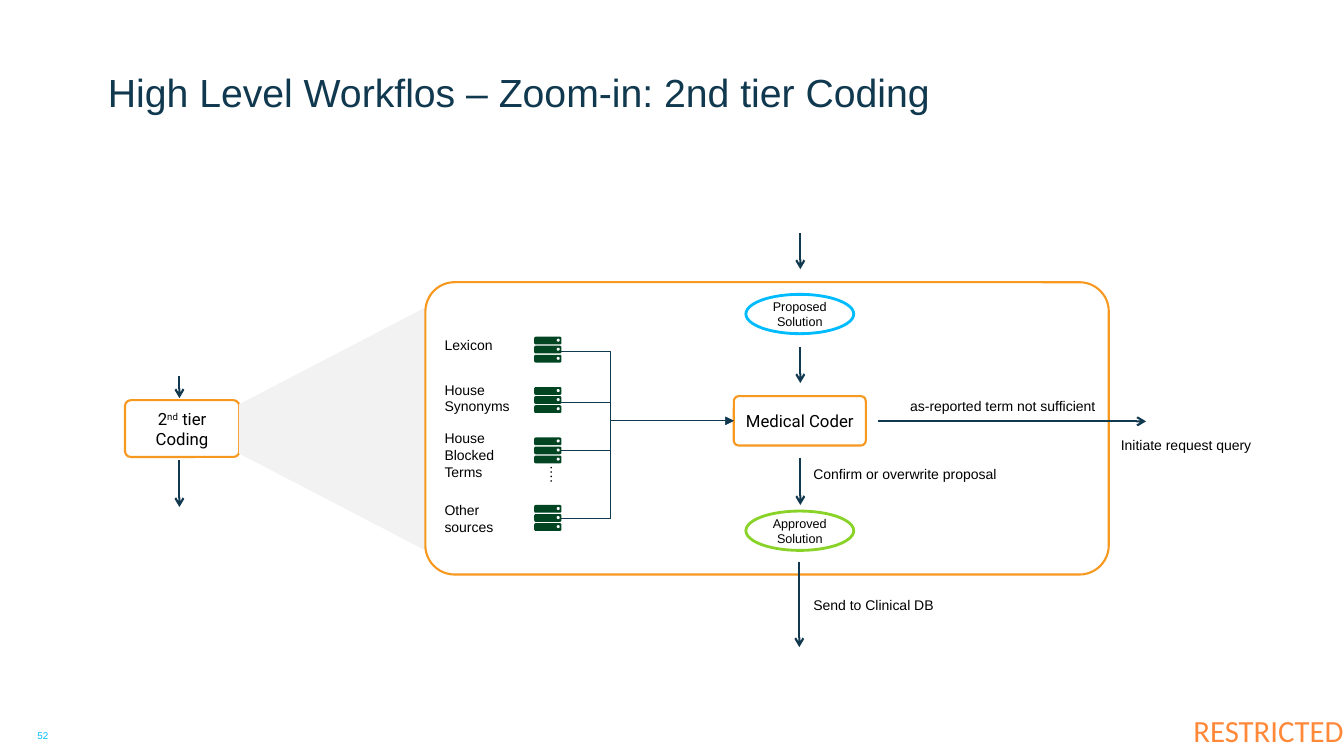
import pptx
import pptx.util
import pptx.dml.color
import pptx.enum.shapes
import pptx.enum.text
import pptx.oxml
import pptx.oxml.ns

SHAPE = pptx.enum.shapes.MSO_SHAPE
LINK = pptx.enum.shapes.MSO_CONNECTOR
ALIGN = pptx.enum.text.PP_ALIGN
ANCHOR = pptx.enum.text.MSO_ANCHOR

COLS, ROWS = 40, 22.5
HEX = {
    "navy": "10384F", "black": "000000", "white": "FFFFFF", "gray": "F2F2F2",
    "orange": "F7981F", "alert": "FF8939", "blue": "00BCFF",
    "lime": "89D329", "green": "004422",
}
SOURCES = [
    # label, label row, icon row
    ("Lexicon", 10.02, 10.02),
    ("House\nSynonyms", 11.34, 11.52),
    ("House\nBlocked\nTerms", 12.78, 13.02),
    ("Other\nsources", 14.94, 15.03),
]
ARROWS = [
    # tail column, tail row, head column, head row
    (5.34, 11.19, 5.34, 11.85),
    (5.34, 13.68, 5.34, 15.09),
    (23.82, 6.93, 23.82, 8.01),
    (23.82, 10.32, 23.82, 11.4),
    (23.82, 13.62, 23.82, 15.03),
    (23.79, 16.74, 23.79, 19.26),
    (26.13, 12.54, 34.11, 12.54),
]
LABELS = [
    ("Confirm or overwrite proposal", 24.21, 13.86),
    ("as-reported term not sufficient", 27.09, 11.82),
    ("Send to Clinical DB", 24.21, 17.76),
    ("Initiate request query", 33.36, 12.99),
]
CODER_ROW = 12.53


def cell(*counts):
    """Turn counts of grid cells (a third of an inch) into lengths."""
    return [pptx.util.Inches(count / 3) for count in counts]


def tint(name):
    return pptx.dml.color.RGBColor.from_string(HEX[name])


def style(para, size, font, color, align=None):
    para.font.size = pptx.util.Pt(size)
    para.font.name = font
    para.font.color.rgb = tint(color)
    para.alignment = align


def frame(shape, anchor, wrap, inset=0):
    """Prepare a text frame; inset is the side margin in cells."""
    body = shape.text_frame
    body.word_wrap = wrap
    body.auto_size = pptx.enum.text.MSO_AUTO_SIZE.NONE
    body.vertical_anchor = anchor
    body.margin_left, body.margin_right = cell(inset, inset)
    body.margin_top, body.margin_bottom = cell(inset / 2, inset / 2)
    return body


def label(slide, text, area, size=10, font="Arial", color="black",
          align=ALIGN.LEFT, anchor=ANCHOR.TOP, wrap=False):
    box = slide.shapes.add_textbox(*cell(*area))
    body = frame(box, anchor, wrap)
    body.text = text
    for para in body.paragraphs:
        style(para, size, font, color, align)
    return box


def form(slide, kind, area, fill=None, line=None, width=1.5, adjust=None):
    shape = slide.shapes.add_shape(kind, *cell(*area))
    shape.shadow.inherit = False
    if adjust is not None:
        shape.adjustments[0] = adjust
    if fill:
        shape.fill.solid()
        shape.fill.fore_color.rgb = tint(fill)
    else:
        shape.fill.background()
    if line:
        shape.line.color.rgb = tint(line)
        shape.line.width = pptx.util.Pt(width)
    else:
        shape.line.fill.background()
    return shape


def panel(slide, area):
    return form(slide, SHAPE.ROUNDED_RECTANGLE, area, line="orange", adjust=0.1)


def step(slide, area, *parts):
    """Draw a process box; every second part of its text is raised."""
    box = panel(slide, area)
    para = frame(box, ANCHOR.MIDDLE, True, 0.3).paragraphs[0]
    for place, text in enumerate(parts):
        run = para.add_run()
        run.text = text
        if place % 2:
            run._r.get_or_add_rPr().set("baseline", "30000")
    style(para, 12, "Roboto", "black", ALIGN.CENTER)
    return box


def result(slide, text, row, color):
    oval = form(slide, SHAPE.OVAL, (22.2, row, 3.21, 1.17), line=color, width=2)
    body = frame(oval, ANCHOR.MIDDLE, True)
    body.text = text
    style(body.paragraphs[0], 9, "Arial", "black", ALIGN.CENTER)


def link(slide, ends, width, head=None, kind=LINK.STRAIGHT):
    wire = slide.shapes.add_connector(kind, *cell(*ends))
    wire.line.color.rgb = tint("navy")
    wire.line.width = pptx.util.Pt(width)
    if head:
        tip = pptx.oxml.parse_xml(
            f'<a:tailEnd {pptx.oxml.ns.nsdecls("a")} type="{head}"/>')
        wire.line._get_or_add_ln().append(tip)
    wire._element.spPr.append(
        pptx.oxml.parse_xml(f'<a:effectLst {pptx.oxml.ns.nsdecls("a")}/>'))
    return wire


def elbow(slide, row, coder):
    """Lead from a source row to the left side of the coder box."""
    wire = link(slide, (16.71, row, 21.84, CODER_ROW), 0.5, "triangle", LINK.ELBOW)
    wire.end_connect(coder, 1)
    bend = pptx.oxml.parse_xml(
        f'<a:gd {pptx.oxml.ns.nsdecls("a")} name="adj1" fmla="val 28200"/>')
    wire._element.spPr.prstGeom.get_or_add_avLst().append(bend)


def server(slide, top):
    for unit in range(3):
        row = top + unit * 0.27
        form(slide, SHAPE.ROUNDED_RECTANGLE, (15.9, row, 0.81, 0.23),
             fill="green", adjust=0.2)
        form(slide, SHAPE.OVAL, (16.57, row + 0.06, 0.09, 0.09), fill="white")


def main():
    deck = pptx.Presentation()
    deck.slide_width, deck.slide_height = cell(COLS, ROWS)
    slide = deck.slides.add_slide(deck.slide_layouts[5])

    title = slide.shapes.title
    title.left, title.top, title.width, title.height = cell(3.21, 0.6, 35.43, 2.82)
    body = frame(title, ANCHOR.BOTTOM, True)
    body.text = "High Level Workflos – Zoom-in: 2nd tier Coding"
    style(body.paragraphs[0], 28, "Arial", "navy", ALIGN.LEFT)

    label(slide, "RESTRICTED", (33.84, 20.97, 6.15, 1.53), 22, "Calibri", "alert",
          ALIGN.RIGHT, ANCHOR.MIDDLE, True)
    label(slide, "52", (0.63, 21.72, 1.29, 0.36), 7, color="blue",
          align=ALIGN.CENTER, wrap=True)

    step(slide, (3.72, 11.91, 3.4, 1.69), "2", "nd", " tier Coding")
    zoom = form(slide, SHAPE.TRAPEZOID, (6.27, 9.99, 7.23, 5.55),
                fill="gray", adjust=0.52)
    zoom.rotation = 270
    panel(slide, (12.66, 8.4, 20.34, 8.7))
    coder = step(slide, (21.84, 11.79, 3.93, 1.47), "Medical Coder")
    result(slide, "Proposed Solution", 8.76, "blue")
    result(slide, "Approved Solution", 15.21, "lime")

    for text, row, top in SOURCES:
        label(slide, text, (13.23, row, 2.25, 0.84))
        server(slide, top)
    dots = label(slide, "….", (15.93, 13.77, 0.78, 0.96))
    dots.rotation = 90
    for row in (10.47, 15.42):
        elbow(slide, row, coder)
    for row in (11.97, 13.41):
        link(slide, (16.71, row, 18.18, row), 0.5)

    for ends in ARROWS:
        link(slide, ends, 1.5, "arrow")
    for text, column, row in LABELS:
        label(slide, text, (column, row, 1.98, 0.84))

    deck.save("out.pptx")


if __name__ == "__main__":
    main()
